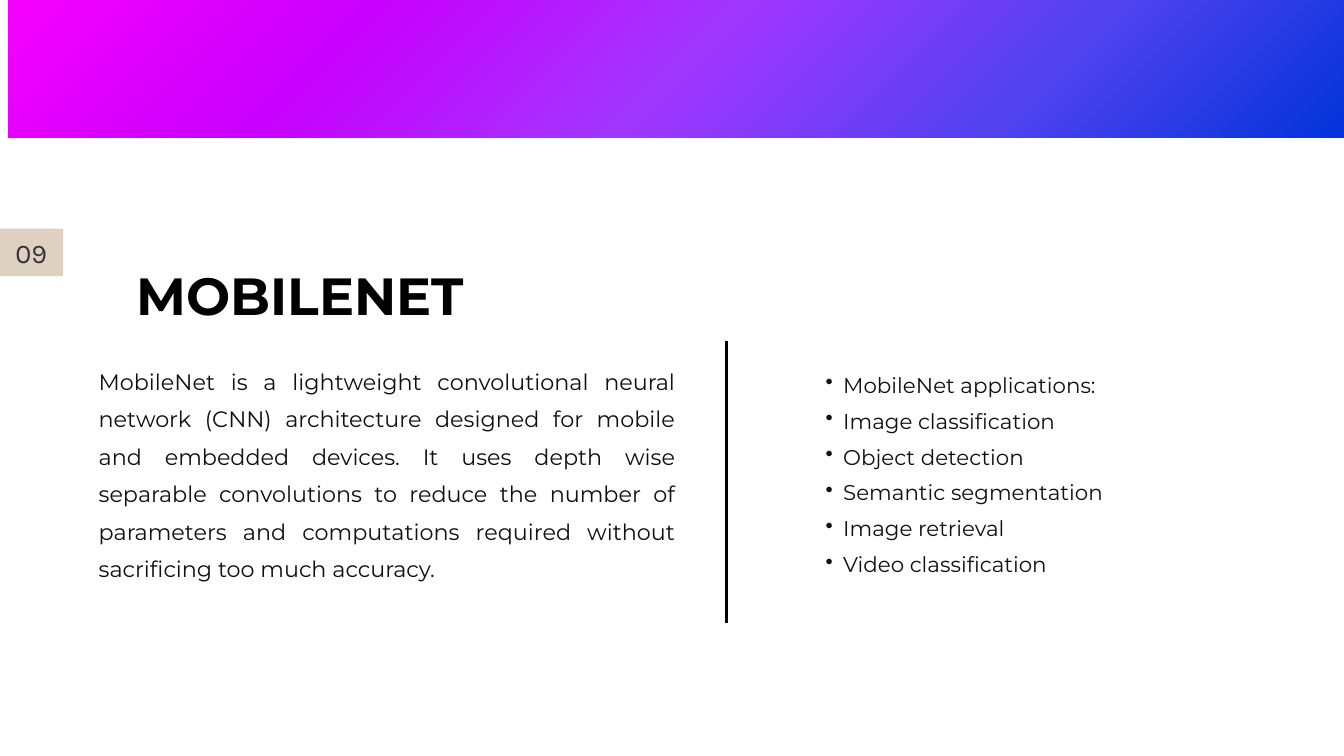
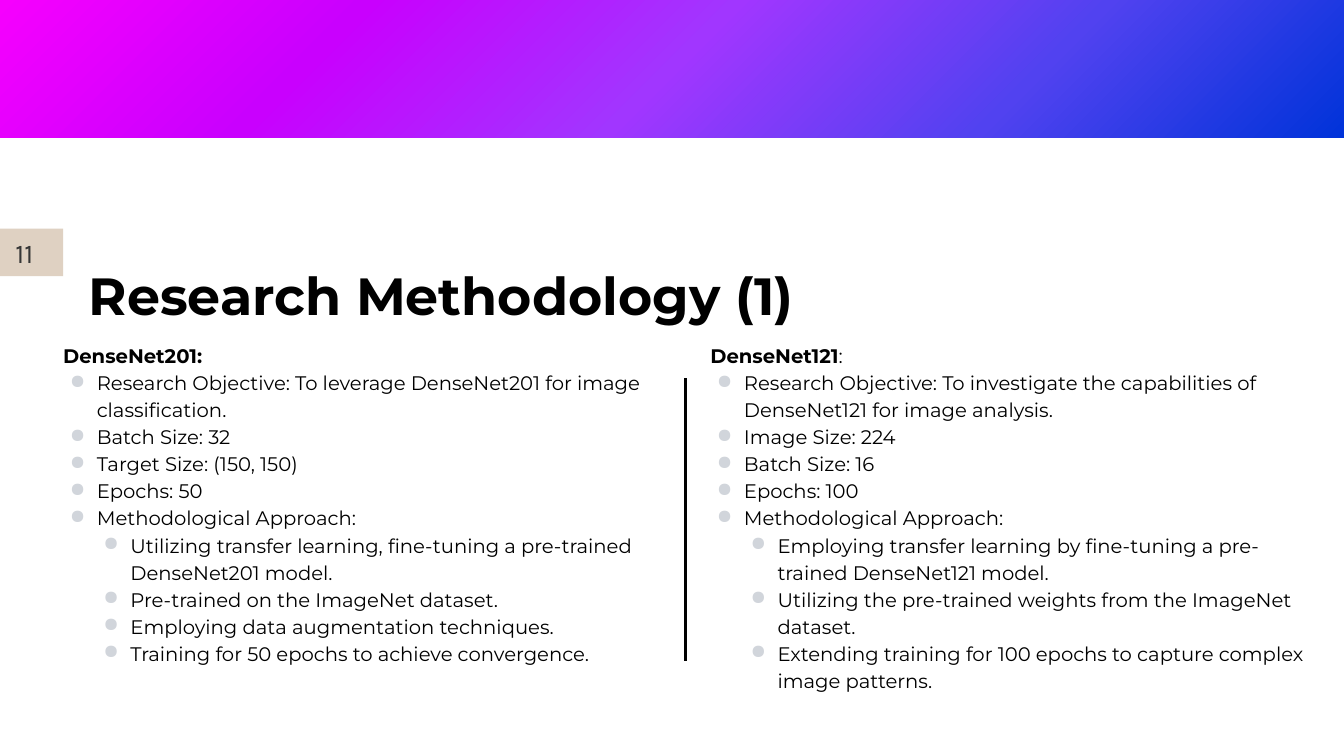
from lxml import etree
from pptx import Presentation
from pptx.dml.color import RGBColor
from pptx.enum.shapes import MSO_CONNECTOR, MSO_SHAPE
from pptx.enum.text import MSO_ANCHOR, MSO_AUTO_SIZE, PP_ALIGN
from pptx.oxml import parse_xml
from pptx.oxml.ns import nsdecls, qn
from pptx.util import Cm, Pt

RECTANGLE = MSO_SHAPE.RECTANGLE
STRAIGHT = MSO_CONNECTOR.STRAIGHT
MIDDLE = MSO_ANCHOR.MIDDLE
GROW = MSO_AUTO_SIZE.SHAPE_TO_FIT_TEXT
LEFT, JUSTIFY = PP_ALIGN.LEFT, PP_ALIGN.JUSTIFY

COLOURS = {
    "black": "000000",
    "body": "101010",
    "number": "363636",
    "number_box": "DFD1C2",
    "bullet": "D1D5DB",
}
BAND_STOPS = ["F600FE", "C900FE", "A136FF", "5142F0", "0033D9"]
TEXT_FONT, NUMBER_FONT = "Montserrat", "Karla"
WIDTH, HEIGHT, BAND_HEIGHT = 50.8, 28.58, 5.21
TITLE_TOP, DIVIDER_LENGTH = 9.02, 10.69

# Bullet styles: level, left margin, hanging indent, character, colour
APPLICATION = (1, 1.24, 0.66, "•", "body")
POINT = (0, 1.27, 1.02, "●", "bullet")
SUBPOINT = (1, 2.54, 1.02, "●", "bullet")


def add_run(para, text, size, colour, bold=False, font=TEXT_FONT):
    span = para.add_run()
    span.text = text
    span.font.name = font
    span.font.size = Pt(size)
    span.font.bold = bold
    span.font.color.rgb = RGBColor.from_string(COLOURS[colour])


def add_text(page, place, paragraphs, size, colour, spacing, align=LEFT):
    """Each paragraph is (bullet style or None, [(text, bold), ...])."""
    box = page.shapes.add_textbox(*[Cm(length) for length in place])
    frame = box.text_frame
    frame.word_wrap = True
    frame.auto_size = GROW
    frame.margin_left = frame.margin_right = 0
    frame.margin_top = frame.margin_bottom = 0
    for index, (bullet, runs) in enumerate(paragraphs):
        para = frame.add_paragraph() if index else frame.paragraphs[0]
        para.alignment = align
        para.line_spacing = spacing
        if bullet:
            para.level, margin, hanging, character, bullet_colour = bullet
            properties = para._p.get_or_add_pPr()
            properties.set("marL", str(Cm(margin)))
            properties.set("indent", str(-Cm(hanging)))
            tint = etree.SubElement(properties, qn("a:buClr"))
            etree.SubElement(tint, qn("a:srgbClr"), val=COLOURS[bullet_colour])
            etree.SubElement(properties, qn("a:buChar"), char=character)
        for text, bold in runs:
            add_run(para, text, size, colour, bold)


# Content of the text blocks
applications = [
    "MobileNet applications:",
    "Image classification",
    "Object detection",
    "Semantic segmentation",
    "Image retrieval",
    "Video classification",
]
mobilenet_summary = (
    "MobileNet is a lightweight convolutional neural network (CNN) architecture "
    "designed for mobile and embedded devices. It uses depth wise separable "
    "convolutions to reduce the number of parameters and computations required "
    "without sacrificing too much accuracy."
)
methods = [
    {
        "place": (2.39, 12.88, 23.55, 14.81),
        "heading": [("DenseNet201:", True)],
        "points": [
            "Research Objective: To leverage DenseNet201 for image classification.",
            "Batch Size: 32",
            "Target Size: (150, 150)",
            "Epochs: 50",
            "Methodological Approach:",
        ],
        "subpoints": [
            "Utilizing transfer learning, fine-tuning a pre-trained DenseNet201 model.",
            "Pre-trained on the ImageNet dataset.",
            "Employing data augmentation techniques.",
            "Training for 50 epochs to achieve convergence.",
        ],
    },
    {
        "place": (26.85, 12.88, 23.32, 13.69),
        "heading": [("DenseNet121", True), (":", False)],
        "points": [
            "Research Objective: To investigate the capabilities of DenseNet121 "
            "for image analysis.",
            "Image Size: 224",
            "Batch Size: 16",
            "Epochs: 100",
            "Methodological Approach:",
        ],
        "subpoints": [
            "Employing transfer learning by fine-tuning a pre-trained DenseNet121 model.",
            "Utilizing the pre-trained weights from the ImageNet dataset.",
            "Extending training for 100 epochs to capture complex image patterns.",
        ],
    },
]

# Frame of each page: number, title, title left and width, band left, divider x and top
frames = [
    ("09", "MOBILENET", 5.16, 23.32, 0.33, 27.46, 12.88),
    ("11", "Research Methodology (1)", 3.35, 28.6, 0, 25.91, 14.3),
]

deck = Presentation()
deck.slide_width, deck.slide_height = Cm(WIDTH), Cm(HEIGHT)
pages = []

for number, title, title_left, title_width, band_left, divider_x, divider_top in frames:
    page = deck.slides.add_slide(deck.slide_layouts[6])
    pages.append(page)

    # Title
    add_text(page, (title_left, TITLE_TOP, title_width, 2.64),
             [(None, [(title, True)])], 56, "black", 1.4)

    # Gradient band
    right = band_left + WIDTH
    outline = page.shapes.build_freeform(Cm(band_left), 0)
    outline.add_line_segments([(Cm(right), 0), (Cm(right), Cm(BAND_HEIGHT)),
                               (Cm(band_left), Cm(BAND_HEIGHT))], close=True)
    band = outline.convert_to_shape()
    stops = "".join(
        f'<a:gs pos="{index * 25000}"><a:srgbClr val="{colour}"/></a:gs>'
        for index, colour in enumerate(BAND_STOPS))
    gradient = parse_xml(
        f'<a:gradFill {nsdecls("a")} rotWithShape="1"><a:gsLst>{stops}</a:gsLst>'
        '<a:path path="circle"><a:fillToRect l="0" t="0" r="100000" b="100000"/>'
        '</a:path></a:gradFill>')
    band._element.spPr.find(qn("a:custGeom")).addnext(gradient)
    band.line.fill.background()
    band.shadow.inherit = False

    # Divider between the columns
    divider = page.shapes.add_connector(
        STRAIGHT, Cm(divider_x), Cm(divider_top),
        Cm(divider_x), Cm(divider_top + DIVIDER_LENGTH))
    divider.line.color.rgb = RGBColor.from_string(COLOURS["black"])
    divider.line.width = Pt(3)
    etree.SubElement(divider._element.spPr, qn("a:effectLst"))

    # Page number
    number_box = page.shapes.add_shape(RECTANGLE, 0, Cm(8.64), Cm(2.39), Cm(1.8))
    number_box.fill.solid()
    number_box.fill.fore_color.rgb = RGBColor.from_string(COLOURS["number_box"])
    number_box.line.fill.background()
    number_box.shadow.inherit = False
    frame = number_box.text_frame
    frame.margin_left, frame.margin_right = Cm(0.58), 0
    frame.margin_top = frame.margin_bottom = 0
    frame.vertical_anchor = MIDDLE
    frame.paragraphs[0].alignment = LEFT
    add_run(frame.paragraphs[0], number, 29, "number", font=NUMBER_FONT)

mobilenet_page, method_page = pages

# MobileNet: summary and applications
add_text(mobilenet_page, (3.73, 13.51, 21.79, 8.76),
         [(None, [(mobilenet_summary, False)])], 23.9, "body", 1.4, JUSTIFY)
add_text(mobilenet_page, (30.63, 13.67, 12.42, 9.12),
         [(APPLICATION, [(text, False)]) for text in applications],
         22.9, "body", 1.4)

# Research methodology: one column per model
for method in methods:
    paragraphs = [(None, method["heading"])]
    for style, key in [(POINT, "points"), (SUBPOINT, "subpoints")]:
        paragraphs += [(style, [(text, False)]) for text in method[key]]
    add_text(method_page, method["place"], paragraphs, 21, "black", 1.15)

deck.save("out.pptx")
